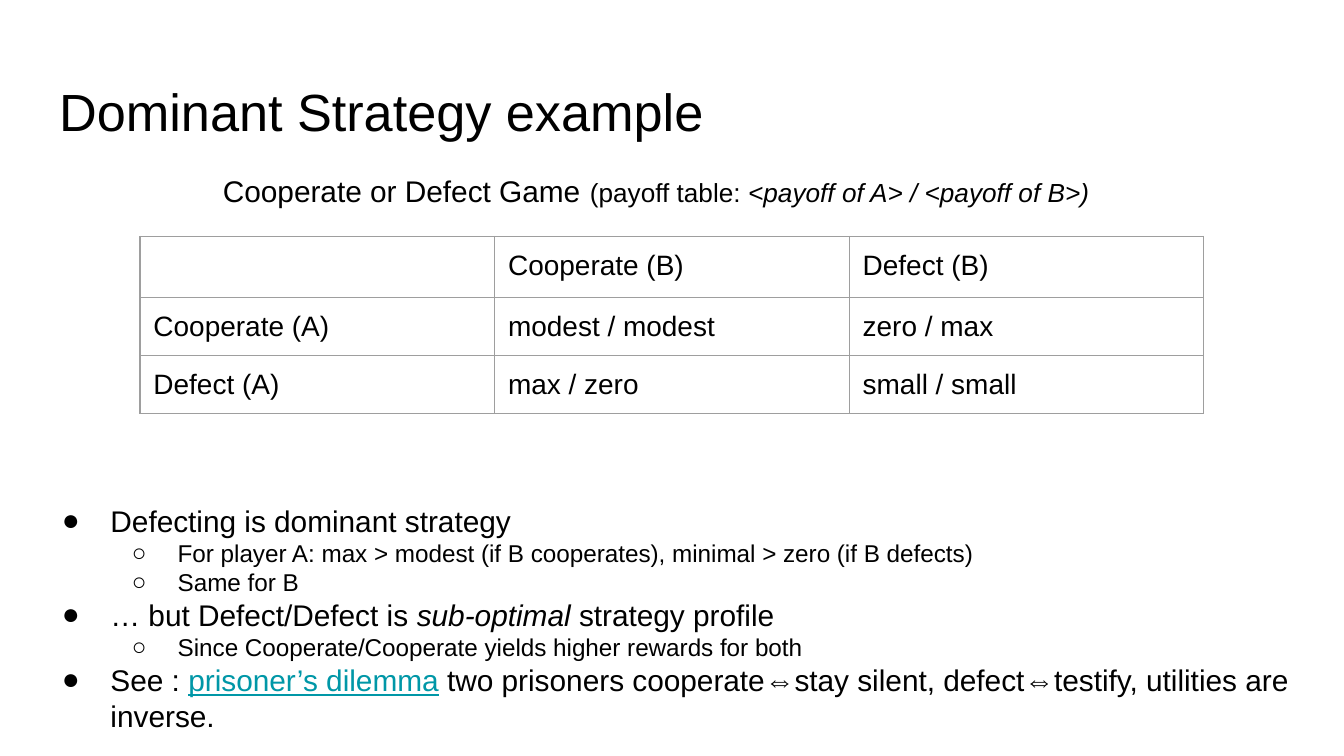
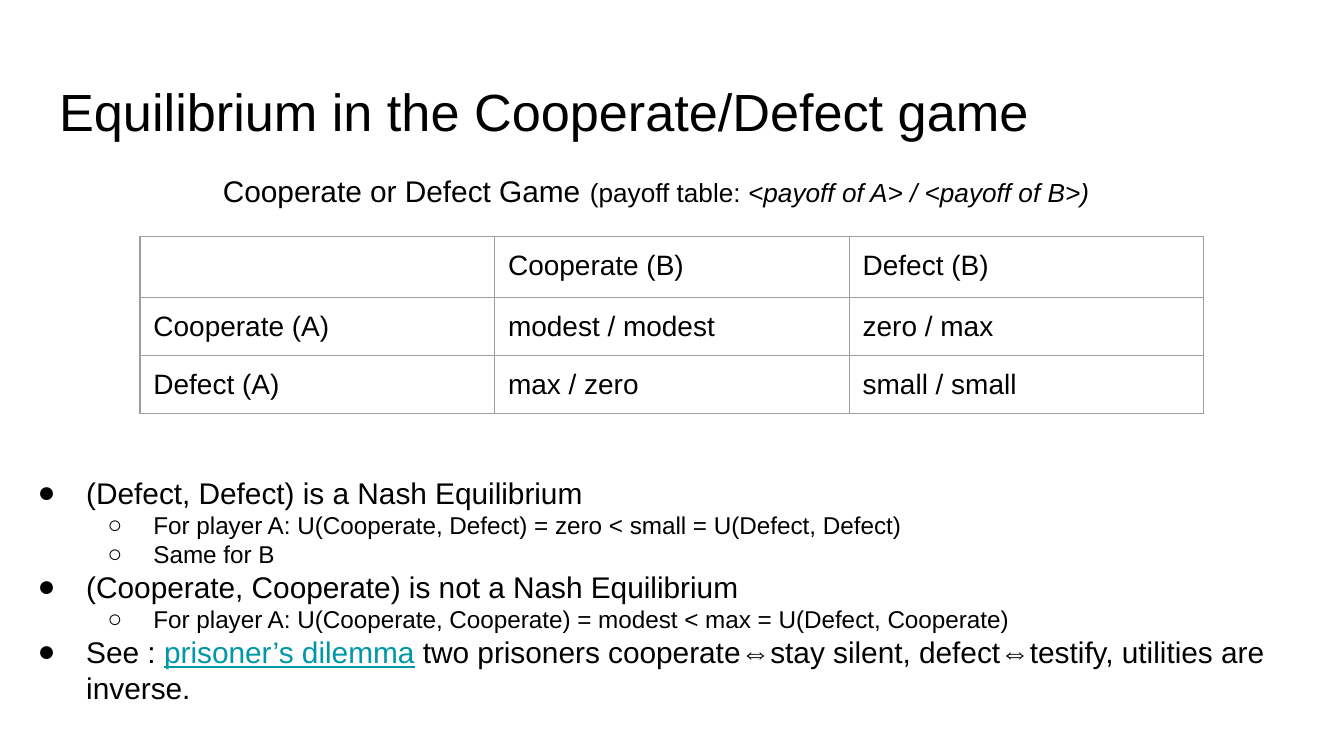
from dataclasses import dataclass

from lxml import etree
from pptx import Presentation
from pptx.dml.color import RGBColor
from pptx.enum import text as text_enum
from pptx.oxml import ns
from pptx.util import Pt

CAPTION = [
    ("Cooperate or Defect Game", {}),
    (" ", {"size": 18}),
    ("(payoff table: ", {"size": 14}),
    ("<payoff of A> / <payoff of B>)", {"size": 14, "italic": True}),
]
PAYOFFS = [
    ("", "Cooperate (B)", "Defect (B)"),
    ("Cooperate (A)", "modest / modest", "zero / max"),
    ("Defect (A)", "max / zero", "small / small"),
]
SEE_ALSO = (0, [
    ("See : ", {}),
    ("prisoner’s dilemma", {"link": True}),
    (" two prisoners cooperate⇔stay silent, defect⇔testify, utilities are inverse.", {}),
])
SLIDES = [
    {
        "title": "Dominant Strategy example",
        "list_at": (16, 262),
        "points": [
            (0, [("Defecting is dominant strategy", {})]),
            (1, [("For player A: max > modest (if B cooperates), minimal > zero (if B defects)", {})]),
            (1, [("Same for B", {})]),
            (0, [("… but Defect/Defect is ", {}), ("sub-optimal", {"italic": True}),
                 (" strategy profile", {})]),
            (1, [("Since Cooperate/Cooperate yields higher rewards for both", {})]),
            SEE_ALSO,
        ],
    },
    {
        "title": "Equilibrium in the Cooperate/Defect game",
        "list_at": (3, 247),
        "points": [
            (0, [("(Defect, Defect) is a Nash Equilibrium", {})]),
            (1, [("For player A: U(Cooperate, Defect) = zero < small = U(Defect, Defect)", {})]),
            (1, [("Same for B", {})]),
            (0, [("(Cooperate, Cooperate) is not a Nash Equilibrium", {})]),
            (1, [("For player A: U(Cooperate, Cooperate) = modest < max = U(Defect, Cooperate)", {})]),
            SEE_ALSO,
        ],
    },
]


@dataclass(frozen=True)
class Theme:
    font: str = "Arial"
    ink: str = "000000"
    link: str = "0097A7"
    grid: str = "9E9E9E"
    grid_width: float = 0.75
    title: int = 28
    caption: int = 16
    cell: int = 15
    levels: tuple = (16, 13)
    inset: float = 7.2


THEME = Theme()
SLIDE_SIZE = (720, 405)
TITLE_BOX = (24.5, 35.3, 671, 45.4)
CAPTION_BOX = (112.3, 83.5, 504.7, 79.2)
LIST_SIZE = (692.6, 106.6)
TABLE_AT = (75, 126.7)
COLUMN_WIDTH, ROW_HEIGHT = 190, 31
BULLETS = [("●", 36, -26), ("○", 72, -24.5)]  # character, margin, indent


def place(shape, box):
    shape.left, shape.top, shape.width, shape.height = map(Pt, box)


def prepare_frame(frame):
    frame.word_wrap = True
    frame.auto_size = text_enum.MSO_AUTO_SIZE.NONE
    frame.vertical_anchor = text_enum.MSO_ANCHOR.TOP
    frame.margin_left = frame.margin_right = Pt(THEME.inset)
    frame.margin_top = frame.margin_bottom = Pt(THEME.inset)


def write(paragraph, pieces, size):
    """Fill a paragraph with (text, style) pieces; size is the default."""
    paragraph.alignment = text_enum.PP_ALIGN.LEFT
    paragraph.space_before = Pt(0)
    for words, style in pieces:
        run = paragraph.add_run()
        run.text = words
        is_link = style.get("link", False)
        run.font.name = THEME.font
        run.font.size = Pt(style.get("size", size))
        run.font.italic = style.get("italic", False)
        run.font.underline = is_link
        run.font.color.rgb = RGBColor.from_string(THEME.link if is_link else THEME.ink)


def add_bullet(paragraph, level):
    character, margin, indent = BULLETS[level]
    paragraph.level = level
    properties = paragraph._p.get_or_add_pPr()
    properties.set("marL", str(Pt(margin)))
    properties.set("indent", str(Pt(indent)))
    colour = etree.SubElement(properties, ns.qn("a:buClr"))
    etree.SubElement(colour, ns.qn("a:srgbClr"), val=THEME.ink)
    etree.SubElement(properties, ns.qn("a:buFont"), typeface=THEME.font)
    etree.SubElement(properties, ns.qn("a:buChar"), char=character)


def add_borders(cell):
    properties = cell._tc.get_or_add_tcPr()
    for position, side in enumerate(("lnL", "lnR", "lnT", "lnB")):
        line = etree.Element(ns.qn("a:" + side), w=str(Pt(THEME.grid_width)))
        fill = etree.SubElement(line, ns.qn("a:solidFill"))
        etree.SubElement(fill, ns.qn("a:srgbClr"), val=THEME.grid)
        properties.insert(position, line)


def add_title(slide, words):
    place(slide.shapes.title, TITLE_BOX)
    frame = slide.shapes.title.text_frame
    prepare_frame(frame)
    write(frame.paragraphs[0], [(words, {})], THEME.title)


def add_caption(slide):
    frame = slide.shapes.add_textbox(*map(Pt, CAPTION_BOX)).text_frame
    prepare_frame(frame)
    write(frame.paragraphs[0], CAPTION, THEME.caption)


def add_payoff_table(slide):
    rows, columns = len(PAYOFFS), len(PAYOFFS[0])
    box = (*TABLE_AT, columns * COLUMN_WIDTH, rows * ROW_HEIGHT)
    table = slide.shapes.add_table(rows, columns, *map(Pt, box)).table
    table.first_row = table.horz_banding = False
    for row, texts in enumerate(PAYOFFS):
        for column, words in enumerate(texts):
            cell = table.cell(row, column)
            cell.fill.background()
            cell.margin_left = cell.margin_right = Pt(THEME.inset)
            cell.margin_top = cell.margin_bottom = Pt(THEME.inset)
            add_borders(cell)
            paragraph = cell.text_frame.paragraphs[0]
            if words:
                write(paragraph, [(words, {})], THEME.cell)
            else:
                end = etree.SubElement(paragraph._p, ns.qn("a:endParaRPr"))
                end.set("sz", str(THEME.cell * 100))


def add_points(slide, position, points):
    body = slide.placeholders[1]
    place(body, (*position, *LIST_SIZE))
    frame = body.text_frame
    prepare_frame(frame)
    for number, (level, pieces) in enumerate(points):
        paragraph = frame.add_paragraph() if number else frame.paragraphs[0]
        add_bullet(paragraph, level)
        write(paragraph, pieces, THEME.levels[level])


def main():
    presentation = Presentation()
    presentation.slide_width, presentation.slide_height = map(Pt, SLIDE_SIZE)
    for content in SLIDES:
        slide = presentation.slides.add_slide(presentation.slide_layouts[1])
        add_title(slide, content["title"])
        add_caption(slide)
        add_payoff_table(slide)
        add_points(slide, content["list_at"], content["points"])
    presentation.save("out.pptx")


if __name__ == "__main__":
    main()
